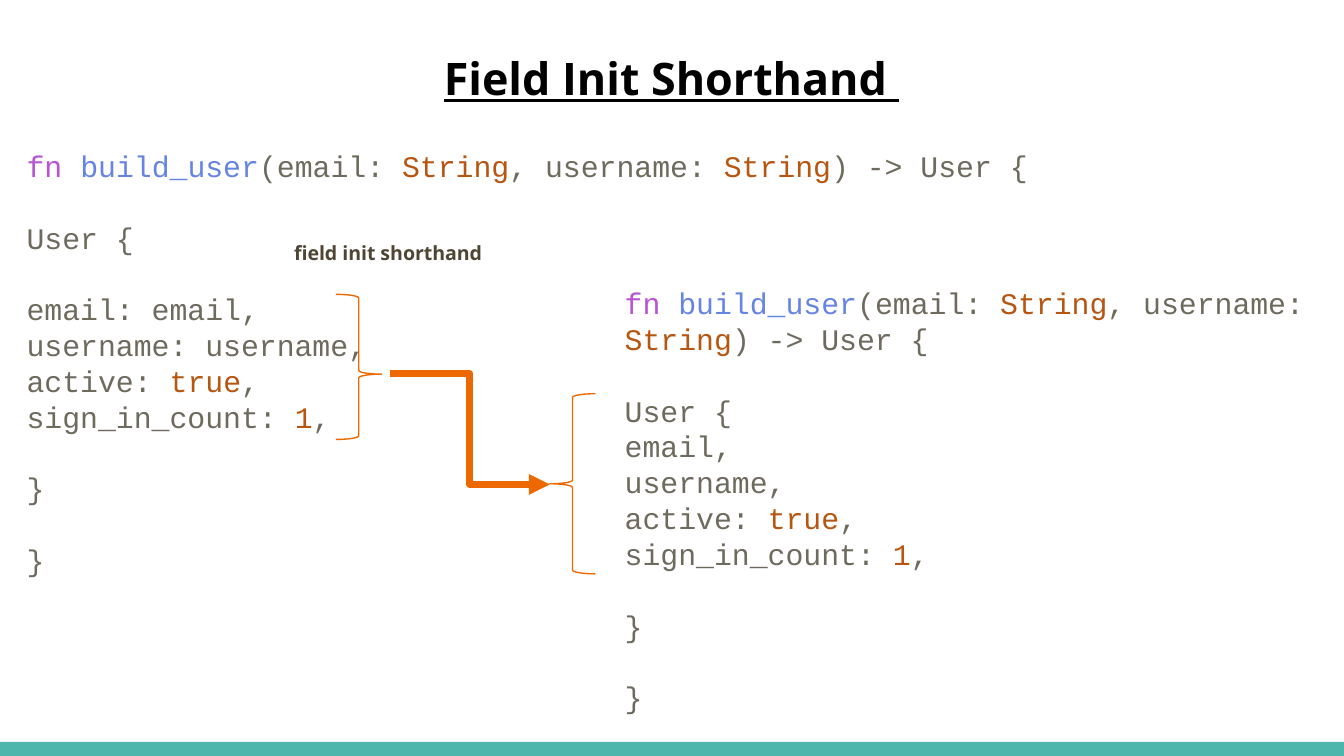
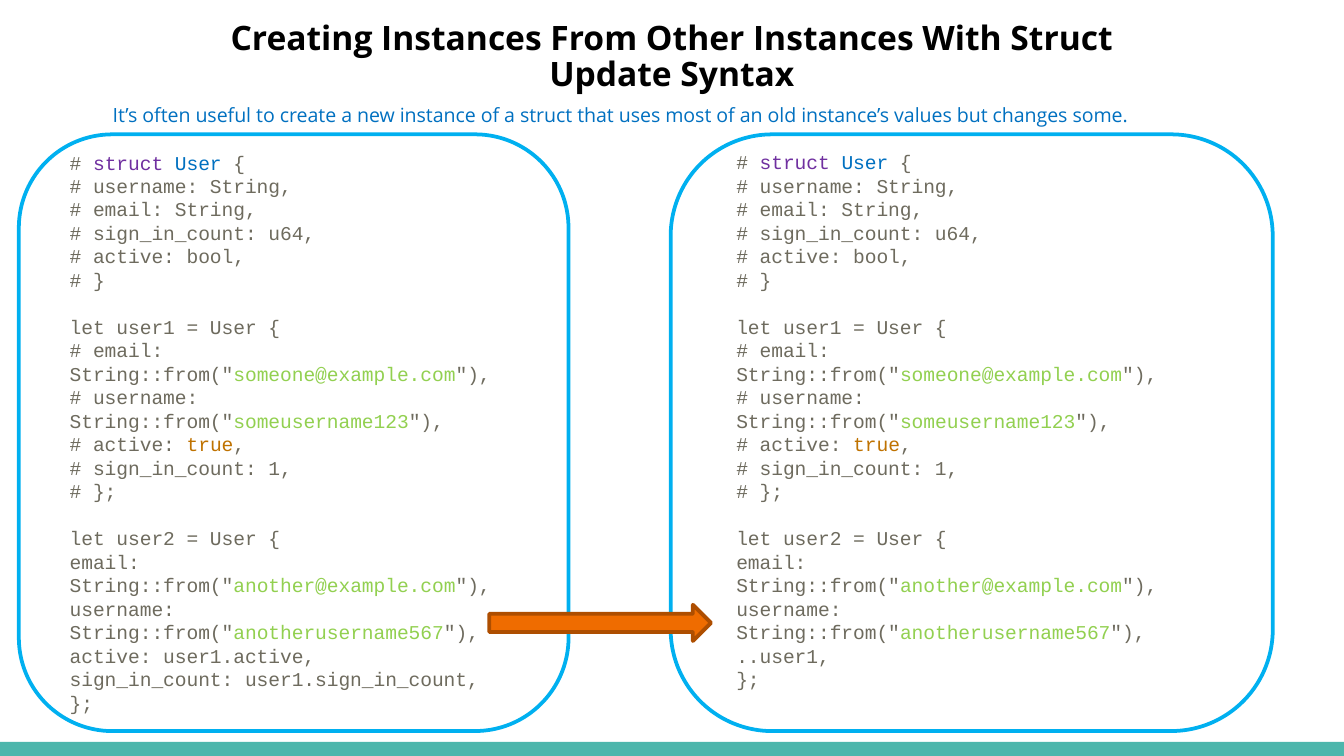
from dataclasses import dataclass

from lxml import etree
from pptx import Presentation
from pptx import util as u
from pptx.dml.color import RGBColor
from pptx.enum import shapes, text
from pptx.oxml.ns import qn

WIDE = u.Inches(10)
HIGH = u.Inches(5.625)
COLS = 100
ROWS = 56.25
SANS = "Open Sans"
MONO = "Courier New"
BLACK = "000000"
GREY = "6E6B5E"
TEAL = "4DB6AC"
RUST = "EE6800"
BLUE = "0070C0"
HUES = {
    "key": "B854D4", "func": "6684E1", "type": "B65611",
    "word": "7030A0", "name": BLUE, "text": "92D050", "bool": "BF7200",
}
KIND = shapes.MSO_SHAPE


@dataclass(frozen=True)
class Box:
    col: float
    row: float
    wide: float
    high: float

    def place(self) -> tuple:
        return (across(self.col), down(self.row), across(self.wide), down(self.high))


@dataclass(frozen=True)
class Brace:
    kind: int
    box: Box
    mid: float


@dataclass(frozen=True)
class Panel:
    frame: Box
    code: Box
    tail: str


def across(cols: float) -> int:
    return round(WIDE * cols / COLS)


def down(rows: float) -> int:
    return round(HIGH * rows / ROWS)


def tint(hue: str) -> RGBColor:
    return RGBColor.from_string(hue)


def write(shape, words: str, *, size: float, font: str = SANS, hue: str = BLACK,
          bold: bool = False, under: bool = False, pad: float = 0.05,
          align=text.PP_ALIGN.LEFT, space: float = 1.0) -> None:
    frame = shape.text_frame
    frame.word_wrap = True
    frame.auto_size = text.MSO_AUTO_SIZE.NONE
    frame.vertical_anchor = text.MSO_ANCHOR.TOP
    frame.margin_left = frame.margin_right = u.Inches(0.1)
    frame.margin_top = frame.margin_bottom = u.Inches(pad)
    para, gap = frame.paragraphs[0], False
    for spot, line in enumerate(words.split("\n")):
        if not line:
            gap = True
            continue
        if spot:
            para = frame.add_paragraph()
        para.alignment = align
        para.line_spacing = space
        para.space_before = u.Pt(size * 1.2 if gap else 0)
        gap = False
        for part, piece in enumerate(line.split("~")):
            if not piece:
                continue
            shade = hue
            if part % 2:
                key, piece = piece.split("|")
                shade = HUES[key]
            run = para.add_run()
            run.text = piece
            run.font.name, run.font.size = font, u.Pt(size)
            run.font.bold, run.font.underline = bold, under
            run.font.color.rgb = tint(shade)


def label(slide, box: Box, words: str, **form) -> None:
    write(slide.shapes.add_textbox(*box.place()), words, **form)


def head(slide, box: Box, words: str, **form) -> None:
    title = slide.shapes.title
    title.left, title.top, title.width, title.height = box.place()
    write(title, words, bold=True, align=text.PP_ALIGN.CENTER, **form)


def draw(slide, kind: int, box: Box, *, fill: str = "", line: str = "",
         width: float = 1, bends: tuple = ()):
    shape = slide.shapes.add_shape(kind, *box.place())
    shape.shadow.inherit = False
    for spot, bend in enumerate(bends):
        shape.adjustments[spot] = bend
    if fill:
        shape.fill.solid()
        shape.fill.fore_color.rgb = tint(fill)
    else:
        shape.fill.background()
    if line:
        shape.line.color.rgb = tint(line)
        shape.line.width = u.Pt(width)
    else:
        shape.line.fill.background()
    return shape


def elbow(slide, box: Box) -> None:
    left, top, wide, high = box.place()
    link = slide.shapes.add_connector(
        shapes.MSO_CONNECTOR.ELBOW, left, top, left + wide, top + high)
    link.line.color.rgb = tint(RUST)
    link.line.width = u.Pt(3.75)
    props = link.element.spPr
    etree.SubElement(props.find(qn("a:ln")), qn("a:tailEnd"), type="triangle")
    etree.SubElement(props, qn("a:effectLst"))


SIGN = ("~key|fn ~~func|build_user~(email: ~type|String~, "
        "username: ~type|String~) -> User {\n\nUser {\n")
TAIL = "active: ~type|true~,\nsign_in_count: ~type|1~,\n\n}\n\n}"
BUILDS = (
    (Box(45.5, 20.7, 53.9, 22.3), SIGN + "email,\nusername,\n" + TAIL),
    (Box(1, 10.5, 83.1, 24.3), SIGN + "\nemail: email,\nusername: username,\n" + TAIL),
)
BRACES = (
    Brace(KIND.RIGHT_BRACE, Box(25, 21.9, 3.4, 10.8), 0.55),
    Brace(KIND.LEFT_BRACE, Box(40.9, 29.3, 3.4, 13.4), 0.5),
)

USERS = """# ~word|struct ~~name|User~ {
# username: String,
# email: String,
# sign_in_count: u64,
# active: bool,
# }

let user1 = User {
# email: String::from("~text|someone@example.com~"),
# username: String::from("~text|someusername123~"),
# active: ~bool|true~,
# sign_in_count: 1,
# };

let user2 = User {
email: String::from("~text|another@example.com~"),
username: String::from("~text|anotherusername567~"),
"""
PANELS = (
    Panel(Box(1.4, 10, 40.9, 44.4), Box(4.2, 10.7, 38.9, 38.8),
          "active: user1.active,\nsign_in_count: user1.sign_in_count,\n};"),
    Panel(Box(49.9, 10, 44.8, 44.4), Box(53.8, 10.7, 38.9, 37), "..user1,\n};"),
)


def short(slide) -> None:
    head(slide, Box(28.3, 2.8, 43.3, 7.6), "Field Init Shorthand ",
         size=24, under=True, pad=0.1)
    for box, code in BUILDS:
        label(slide, box, code, size=16, font=MONO, hue=GREY)
    for brace in BRACES:
        draw(slide, brace.kind, brace.box, line=RUST, width=0.75,
             bends=(0.08, brace.mid))
    elbow(slide, Box(29, 27.8, 11.9, 8.25))
    label(slide, Box(20.9, 17.4, 19.4, 3), "field init shorthand",
          size=10.5, hue="4E4534", bold=True)


def update(slide) -> None:
    head(slide, Box(11.7, 1.1, 76.6, 13.1),
         "Creating Instances From Other Instances With Struct Update Syntax",
         size=18, space=0.9)
    for panel in PANELS:
        draw(slide, KIND.ROUNDED_RECTANGLE, panel.frame, fill="FFFFFF",
             line="00B0F0", width=2, bends=(0.17,))
    for panel in PANELS:
        label(slide, panel.code, USERS + panel.tail, size=10.5, font=MONO, hue=GREY)
    draw(slide, KIND.RIGHT_ARROW, Box(36.4, 45, 16.5, 2.7), fill="EF6C00",
         line="AE4E00", width=2)
    label(slide, Box(7.4, 7.2, 90.5, 2.8),
          "It’s often useful to create a new instance of a struct that uses most "
          "of an old instance’s values but changes some.", size=10.5, hue=BLUE)


def main() -> None:
    deck = Presentation()
    deck.slide_width, deck.slide_height = WIDE, HIGH
    plain = deck.slide_layouts.get_by_name("Title Only")
    first, second = (deck.slides.add_slide(plain) for _ in range(2))
    band = draw(first, KIND.RECTANGLE, Box(0, 55.2, COLS, 1.05), fill=TEAL)
    deck.slide_master.shapes.element.append(band.element)
    short(first)
    update(second)
    deck.save("out.pptx")


if __name__ == "__main__":
    main()
